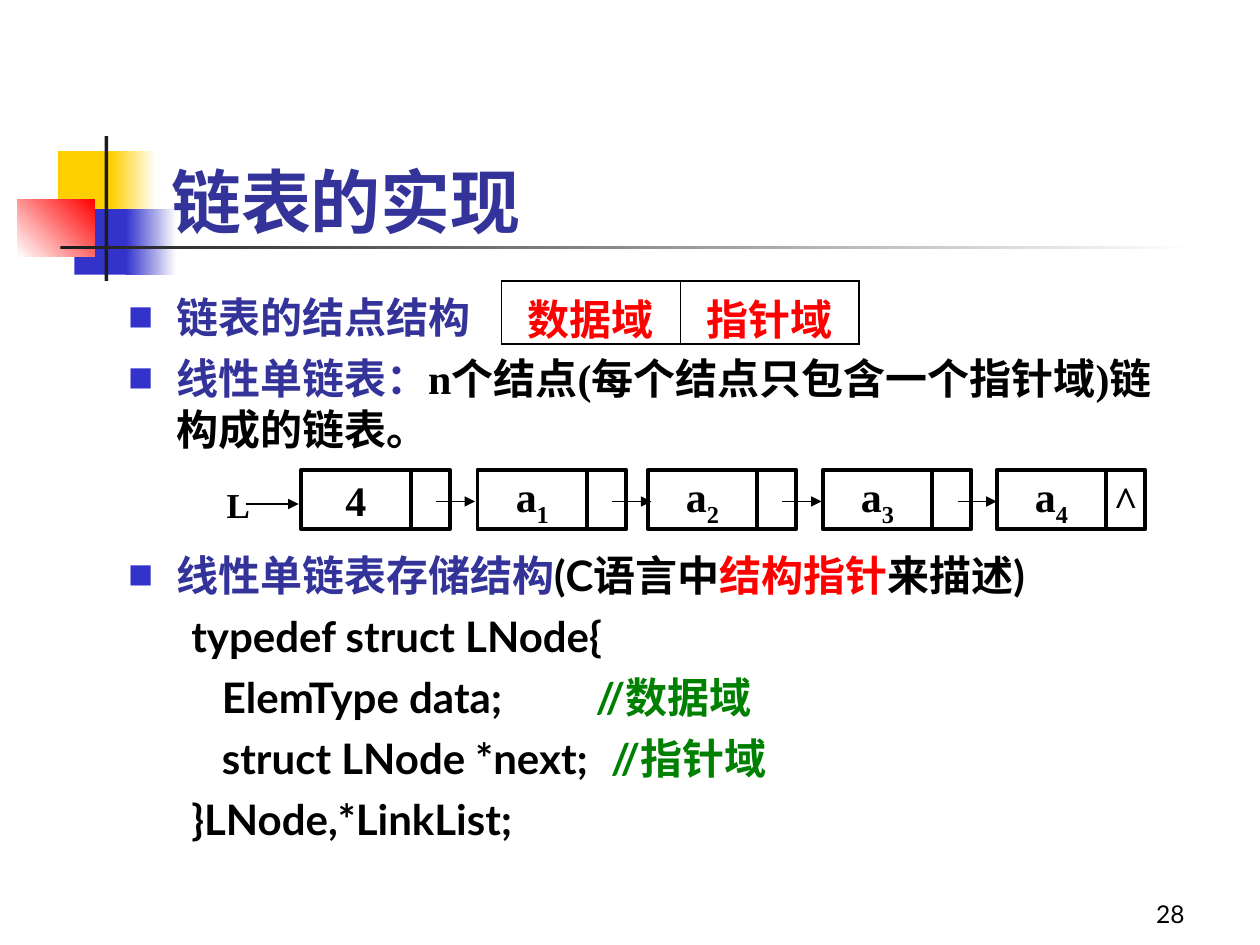
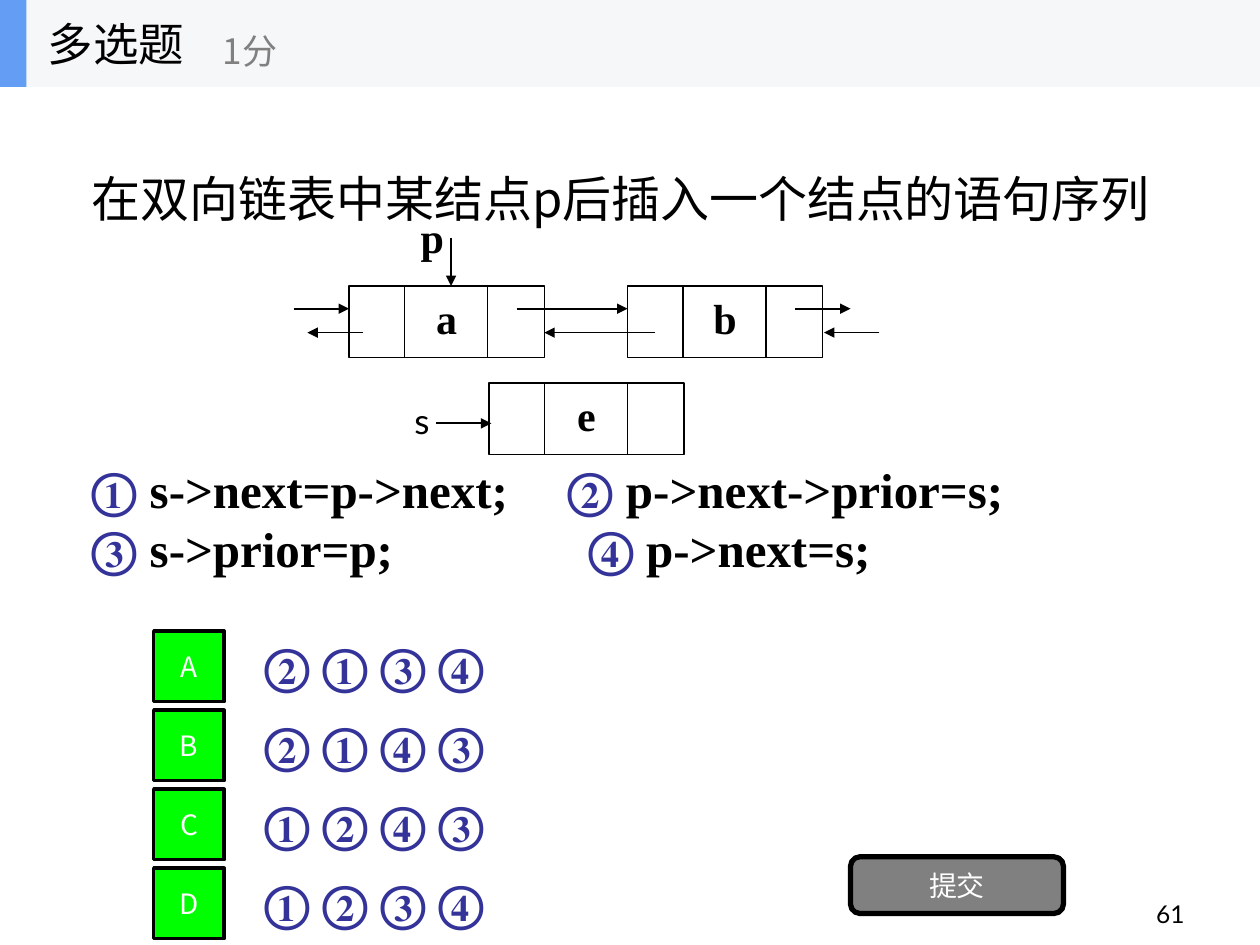
from dataclasses import dataclass, replace

import pptx
import pptx.util
from lxml import etree
from pptx.dml.color import RGBColor
from pptx.enum.shapes import MSO_CONNECTOR, MSO_SHAPE
from pptx.enum.text import MSO_ANCHOR, PP_ALIGN
from pptx.oxml.ns import qn
from pptx.util import Inches

BLACK = RGBColor(0x00, 0x00, 0x00)
WHITE = RGBColor(0xFF, 0xFF, 0xFF)
INDIGO = RGBColor(0x33, 0x33, 0x99)
BLUE = RGBColor(0x33, 0x33, 0xCC)
YELLOW = RGBColor(0xFF, 0xCF, 0x01)
RED = RGBColor(0xFF, 0x00, 0x00)
CHARCOAL = RGBColor(0x1C, 0x1C, 0x1C)
COMMENT_GREEN = RGBColor(0x00, 0x80, 0x00)
OPTION_GREEN = RGBColor(0x00, 0xFF, 0x00)
GRAY = RGBColor(0x80, 0x80, 0x80)
HEADER_GRAY = RGBColor(0xF6, 0xF7, 0xF8)
HEADER_BLUE = RGBColor(0x63, 0x9E, 0xF4)

SERIF = "Times New Roman"
SANS = "Lato"
CJK = "Noto Sans CJK SC"


@dataclass(frozen=True)
class Style:
    size: float
    font: str
    color: RGBColor = BLACK
    bold: bool = False
    east_asian: str = CJK
    baseline: int = 0


TITLE = Style(40, SANS, INDIGO, True)
SERIF_BODY = Style(24, SERIF, bold=True)
SERIF_TERM = replace(SERIF_BODY, color=INDIGO)
SUBSCRIPT = replace(SERIF_BODY, baseline=-25000)
CODE = Style(24, SANS, bold=True)
TERM = replace(CODE, color=INDIGO)
COMMENT = replace(CODE, color=COMMENT_GREEN)
FIELD = Style(24, CJK, RED, True)
STATEMENT = Style(28, SERIF, bold=True)
STEP = Style(28, SERIF, INDIGO, True, SERIF)
BUTTON = Style(16, CJK, WHITE)


def add_span(para, text, style):
    span = para.add_run()
    span.text = text
    font = span.font
    font.size = pptx.util.Pt(style.size)
    font.name = style.font
    font.bold = style.bold
    font.color.rgb = style.color
    properties = font._element
    etree.SubElement(properties, qn("a:ea")).set("typeface", style.east_asian)
    if style.baseline:
        properties.set("baseline", str(style.baseline))


def fill_text(frame, paragraphs, align=PP_ALIGN.LEFT, anchor=MSO_ANCHOR.TOP,
              wrap=True, gap=0, line=None):
    """Write paragraphs, each a list of (text, style) spans."""
    frame.word_wrap = wrap
    frame.vertical_anchor = anchor
    for index, spans in enumerate(paragraphs):
        para = frame.add_paragraph() if index else frame.paragraphs[0]
        para.alignment = align
        if index and gap:
            para.space_before = pptx.util.Pt(gap)
        if line:
            para.line_spacing = pptx.util.Pt(line)
        for text, style in spans:
            add_span(para, text, style)


def add_text(page, left, top, width, height, paragraphs, **options):
    box = page.shapes.add_textbox(Inches(left), Inches(top), Inches(width), Inches(height))
    fill_text(box.text_frame, paragraphs, **options)
    return box


def add_box(page, left, top, width, height, fill=None, line=None,
            kind=MSO_SHAPE.RECTANGLE):
    """Add a shape; fill is one colour or None, line a width in points or None."""
    box = page.shapes.add_shape(kind, Inches(left), Inches(top), Inches(width), Inches(height))
    box.shadow.inherit = False
    if fill is None:
        box.fill.background()
    else:
        box.fill.solid()
        box.fill.fore_color.rgb = fill
    if line is None:
        box.line.fill.background()
    else:
        box.line.color.rgb = BLACK
        box.line.width = pptx.util.Pt(line)
    return box


def add_fade(page, left, top, width, height, start, end, angle=0):
    box = add_box(page, left, top, width, height)
    box.fill.gradient()
    box.fill.gradient_angle = angle
    for stop, color in zip(box.fill.gradient_stops, (start, end)):
        stop.color.rgb = color


def add_line(page, x1, y1, x2, y2, width=0.75, arrow=False):
    line = page.shapes.add_connector(
        MSO_CONNECTOR.STRAIGHT, Inches(x1), Inches(y1), Inches(x2), Inches(y2))
    line.line.color.rgb = BLACK
    line.line.width = pptx.util.Pt(width)
    if arrow:
        etree.SubElement(line.line._get_or_add_ln(), qn("a:tailEnd")).set("type", "triangle")
    etree.SubElement(line._element.spPr, qn("a:effectLst"))


def add_bullets(box):
    for para in box.text_frame.paragraphs:
        properties = para._p.get_or_add_pPr()
        properties.set("marL", str(Inches(0.38)))
        properties.set("indent", str(Inches(-0.38)))
        color = etree.SubElement(properties, qn("a:buClr"))
        etree.SubElement(color, qn("a:srgbClr")).set("val", str(BLUE))
        etree.SubElement(properties, qn("a:buSzPct")).set("val", "60000")
        etree.SubElement(properties, qn("a:buFont")).set("typeface", CJK)
        etree.SubElement(properties, qn("a:buChar")).set("char", "■")


def add_tab(para, position):
    stops = etree.SubElement(para._p.get_or_add_pPr(), qn("a:tabLst"))
    stop = etree.SubElement(stops, qn("a:tab"))
    stop.set("pos", str(Inches(position)))
    stop.set("algn", "l")


def add_page_number(page, number):
    add_text(page, 7.42, 6.92, 2.08, 0.5, [[(number, Style(14, SANS))]],
             align=PP_ALIGN.RIGHT, anchor=MSO_ANCHOR.BOTTOM)


def add_title(page, title):
    """Add the title with its coloured squares and fading rule."""
    add_box(page, 0.46, 1.2, 0.48, 0.52, YELLOW)
    add_fade(page, 0.88, 1.2, 0.36, 0.52, YELLOW, WHITE)
    add_box(page, 0.59, 1.66, 0.46, 0.52, BLUE)
    add_fade(page, 1, 1.66, 0.4, 0.52, BLUE, WHITE)
    add_fade(page, 0.14, 1.58, 0.61, 0.46, WHITE, RED, 45)
    add_box(page, 0.83, 1.08, 0.03, 1.15, CHARCOAL)
    add_fade(page, 0.48, 1.95, 9, 0.03, CHARCOAL, WHITE)
    add_text(page, 1.26, 0.72, 8.52, 1.25, [[(title, TITLE)]], anchor=MSO_ANCHOR.BOTTOM)


def set_borders(cell, widths):
    """Draw the borders; widths maps a side (L, R, T, B) to points."""
    properties = cell._tc.get_or_add_tcPr()
    for index, (side, width) in enumerate(widths.items()):
        border = etree.Element(qn("a:ln" + side), w=str(pptx.util.Pt(width)))
        fill = etree.SubElement(border, qn("a:solidFill"))
        etree.SubElement(fill, qn("a:srgbClr")).set("val", str(BLACK))
        properties.insert(index, border)


def add_field_table(page, fields):
    table = page.shapes.add_table(
        1, len(fields), Inches(3.98), Inches(2.23), Inches(2.84), Inches(0.5)).table
    table.first_row = table.horz_banding = False
    outer, inner = 1.08, 0.45
    last = len(fields) - 1
    for column, field in enumerate(fields):
        table.columns[column].width = Inches(1.42)
        cell = table.cell(0, column)
        cell.fill.background()
        fill_text(cell.text_frame, [[(field, FIELD)]], align=PP_ALIGN.CENTER)
        set_borders(cell, {"L": inner if column else outer,
                           "R": inner if column < last else outer,
                           "T": outer, "B": outer})


def add_single_node(page, left, data, link=""):
    top, data_width = 3.73, 0.87
    cells = ((left, data_width, data), (left + data_width, 0.31, [(link, SERIF_BODY)]))
    for cell_left, width, spans in cells:
        box = add_box(page, cell_left, top, width, 0.47, line=2.25)
        if spans[0][0]:
            fill_text(box.text_frame, [spans], align=PP_ALIGN.CENTER,
                      anchor=MSO_ANCHOR.MIDDLE, wrap=False)


def add_linked_list(page):
    lefts = (2.39, 3.79, 5.14, 6.53, 7.91)
    for index, left in enumerate(lefts):
        data = [("a", SERIF_BODY), (str(index), SUBSCRIPT)] if index else [("4", SERIF_BODY)]
        is_last = index == len(lefts) - 1
        add_single_node(page, left, data, "^" if is_last else "")
        if not is_last:
            add_line(page, left + 1.07, 3.98, left + 1.38, 3.98, arrow=True)
    add_line(page, 1.95, 4, 2.37, 4, arrow=True)
    add_text(page, 1.7, 3.79, 0.42, 0.44, [[("L", Style(20, SERIF, bold=True))]])


def add_double_node(page, left, top, name):
    height = 0.57
    box = add_box(page, left, top, 1.55, height, WHITE, 0.75)
    fill_text(box.text_frame, [[(name, SERIF_BODY)]], align=PP_ALIGN.CENTER)
    for offset in (0.44, 1.1):
        add_line(page, left + offset, top, left + offset, top + height)


def add_header(page, kind, points):
    add_box(page, 0, 0, 10, 0.69, HEADER_GRAY)
    add_box(page, 0, 0, 0.21, 0.69, HEADER_BLUE)
    add_text(page, 0.28, 0, 1.4, 0.69, [[(kind, Style(26, CJK))]], anchor=MSO_ANCHOR.MIDDLE)
    add_text(page, 1.67, 0.12, 2.5, 0.56, [[(points, Style(20, CJK, GRAY))]],
             anchor=MSO_ANCHOR.MIDDLE)


def add_option(page, row, letter, steps):
    drop = 0.627 * row
    add_text(page, 2, 4.93 + drop, 2.45, 0.7, [[(steps, STEP)]], anchor=MSO_ANCHOR.MIDDLE)
    add_button(page, 1.22, 5.01 + drop, 0.56, 0.56, letter, OPTION_GREEN, 2)


def add_button(page, left, top, width, height, label, fill, line, kind=MSO_SHAPE.RECTANGLE):
    box = add_box(page, left, top, width, height, fill, line, kind)
    fill_text(box.text_frame, [[(label, BUTTON)]], align=PP_ALIGN.CENTER,
              anchor=MSO_ANCHOR.MIDDLE, wrap=False)


def build_list_page(page):
    add_title(page, "链表的实现")
    add_bullets(add_text(page, 0.92, 2.26, 8.5, 1.4, [
        [("链表的结点结构", SERIF_TERM)],
        [("线性单链表：", SERIF_TERM),
         ("n个结点(每个结点只包含一个指针域)链构成的链表。", SERIF_BODY)],
    ], gap=6, line=29))
    add_bullets(add_text(page, 0.92, 4.31, 8.5, 0.5, [
        [("线性单链表存储结构", TERM), ("(C语言中", CODE),
         ("结构指针", replace(CODE, color=RED)), ("来描述)", CODE)],
    ], line=29))
    code = add_text(page, 1.42, 4.79, 8, 2, [
        [("typedef struct LNode{", CODE)],
        [("   ElemType data;\t", CODE), ("//数据域", COMMENT)],
        [("   struct LNode *next;\t", CODE), ("//指针域", COMMENT)],
        [("}LNode,*LinkList;", CODE)],
    ], gap=6, line=29)
    for para, position in zip(code.text_frame.paragraphs[1:3], (3.21, 3.33)):
        add_tab(para, position)
    add_field_table(page, ("数据域", "指针域"))
    add_linked_list(page)
    add_page_number(page, "28")


def build_quiz_page(page):
    add_page_number(page, "61")
    add_text(page, 0.63, 1.28, 8.87, 0.57,
             [[("在双向链表中某结点p后插入一个结点的语句序列", Style(28, CJK))]], line=34)
    statements = add_text(page, 0.63, 3.59, 8.87, 1.05, [
        [("①", STEP), (" s->next=p->next;\t", STATEMENT),
         ("②", STEP), (" p->next->prior=s;", STATEMENT)],
        [("③", STEP), (" s->prior=p;\t", STATEMENT),
         ("④", STEP), (" p->next=s;", STATEMENT)],
    ], line=34)
    for para, position in zip(statements.text_frame.paragraphs, (3.78, 3.94)):
        add_tab(para, position)

    for row, steps in enumerate(("② ① ③ ④", "② ① ④ ③", "① ② ④ ③", "① ② ③ ④")):
        add_option(page, row, "ABCD"[row], steps)
    add_button(page, 6.75, 6.8, 1.69, 0.45, "提交", GRAY, 3, MSO_SHAPE.ROUNDED_RECTANGLE)

    add_double_node(page, 2.77, 2.27, "a")
    add_double_node(page, 4.98, 2.27, "b")
    for start, end in ((4.1, 4.98), (6.31, 6.75), (2.33, 2.77)):
        add_line(page, start, 2.45, end, 2.45, 1, arrow=True)
    for start, end in ((5.2, 4.32), (6.98, 6.54), (2.88, 2.44)):
        add_line(page, start, 2.64, end, 2.64, 1, arrow=True)
    add_line(page, 3.58, 1.89, 3.58, 2.27, arrow=True)
    add_text(page, 3.24, 1.63, 0.5, 0.5, [[("p", SERIF_BODY)]])
    add_double_node(page, 3.88, 3.04, "e")
    add_text(page, 3.19, 3.12, 0.5, 0.44, [[("s", Style(20, SANS))]])
    add_line(page, 3.46, 3.36, 3.9, 3.36, 1, arrow=True)
    add_header(page, "多选题", "1分")


def main():
    deck = pptx.Presentation()
    deck.slide_width, deck.slide_height = Inches(10), Inches(7.5)
    blank = deck.slide_layouts[6]
    for build in (build_list_page, build_quiz_page):
        build(deck.slides.add_slide(blank))
    deck.save("out.pptx")


if __name__ == "__main__":
    main()
